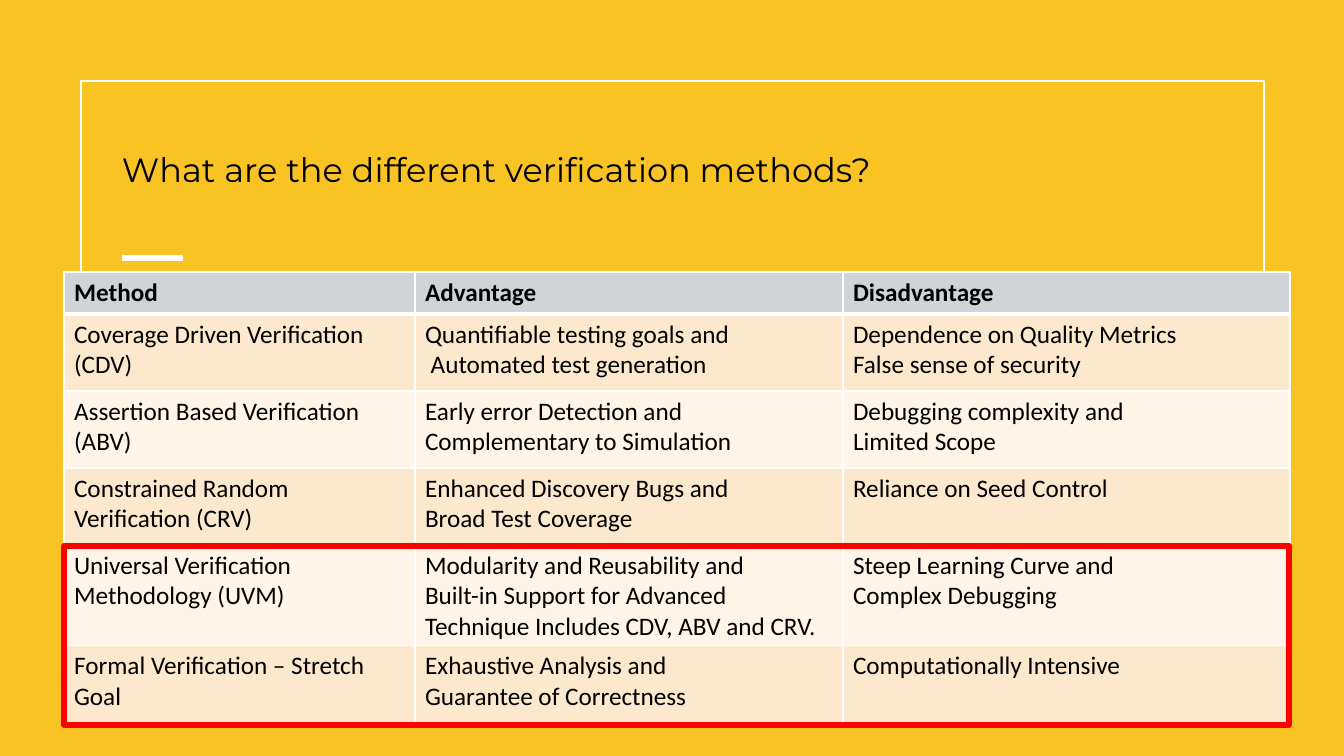
import pptx
import pptx.util
import pptx.dml.color
import pptx.enum.shapes
import pptx.enum.text
import pptx.oxml
import pptx.oxml.ns

PX = 9071.43
WHITE, BLACK, RED, YELLOW = "FFFFFF", "000000", "FF0000", "F9C423"
HEADER_FILL = "D1D4D7"
BAND_FILLS = ["FCE9CD", "FEF5E8"]
COLUMN_WIDTHS = [351, 428, 447]
HEADER_HEIGHT, ROW_HEIGHT = 42, 77
METHODS = [
    ["Method", "Advantage", "Disadvantage"],
    ["Coverage Driven Verification (CDV)",
     "Quantifiable testing goals and\n Automated test generation",
     "Dependence on Quality Metrics\nFalse sense of security"],
    ["Assertion Based Verification (ABV)",
     "Early error Detection and\nComplementary to Simulation",
     "Debugging complexity and\nLimited Scope"],
    ["Constrained Random Verification (CRV)",
     "Enhanced Discovery Bugs and\nBroad Test Coverage",
     "Reliance on Seed Control"],
    ["Universal Verification Methodology (UVM)",
     "Modularity and Reusability and\n"
     "Built-in Support for Advanced Technique Includes CDV, ABV and CRV.",
     "Steep Learning Curve and\nComplex Debugging"],
    ["Formal Verification – Stretch Goal",
     "Exhaustive Analysis and\nGuarantee of Correctness",
     "Computationally Intensive"],
]


def px(n):
    return pptx.util.Emu(round(n * PX))


def rgb(value):
    return pptx.dml.color.RGBColor.from_string(value)


def add_text(tf, text, font, size, bold=False):
    for i, line in enumerate(text.split("\n")):
        p = tf.paragraphs[0] if i == 0 else tf.add_paragraph()
        r = p.add_run()
        r.text = line
        r.font.name = font
        r.font.size = pptx.util.Pt(size)
        r.font.bold = bold
        r.font.color.rgb = rgb(BLACK)


def add_outline(s, x, y, w, h, color, width):
    sp = s.shapes.add_shape(pptx.enum.shapes.MSO_SHAPE.RECTANGLE,
                            px(x), px(y), px(w), px(h))
    sp.shadow.inherit = False
    sp.fill.background()
    sp.line.color.rgb = rgb(color)
    sp.line.width = pptx.util.Pt(width)


def add_rule(s, x1, x2, y, color, width):
    sp = s.shapes.add_connector(pptx.enum.shapes.MSO_CONNECTOR.STRAIGHT,
                                px(x1), px(y), px(x2), px(y))
    sp.line.color.rgb = rgb(color)
    sp.line.width = pptx.util.Pt(width)
    sp._element.spPr.append(pptx.oxml.parse_xml(
        f"<a:effectLst {pptx.oxml.ns.nsdecls('a')}/>"))


def add_title(s, x, y, w, h, text):
    tf = s.shapes.add_textbox(px(x), px(y), px(w), px(h)).text_frame
    tf.word_wrap = True
    tf.vertical_anchor = pptx.enum.text.MSO_ANCHOR.BOTTOM
    tf.margin_left = tf.margin_top = tf.margin_right = tf.margin_bottom = 0
    add_text(tf, text, "Montserrat", 24)


def set_borders(cell, color, bottom):
    tcPr = cell._tc.get_or_add_tcPr()
    for i, (side, width) in enumerate([("L", 1), ("R", 1), ("T", 1), ("B", bottom)]):
        tcPr.insert(i, pptx.oxml.parse_xml(
            f'<a:ln{side} {pptx.oxml.ns.nsdecls("a")} w="{pptx.util.Pt(width)}">'
            f'<a:solidFill><a:srgbClr val="{color}"/></a:solidFill></a:ln{side}>'))


def add_methods_table(s, x, y):
    height = HEADER_HEIGHT + ROW_HEIGHT * (len(METHODS) - 1)
    table = s.shapes.add_table(len(METHODS), len(COLUMN_WIDTHS), px(x), px(y),
                               px(sum(COLUMN_WIDTHS)), px(height)).table
    for column, width in zip(table.columns, COLUMN_WIDTHS):
        column.width = px(width)
    for i, texts in enumerate(METHODS):
        header = i == 0
        table.rows[i].height = px(HEADER_HEIGHT if header else ROW_HEIGHT)
        for j, text in enumerate(texts):
            cell = table.cell(i, j)
            cell.fill.solid()
            cell.fill.fore_color.rgb = rgb(
                HEADER_FILL if header else BAND_FILLS[(i - 1) % 2])
            set_borders(cell, WHITE, 3 if header else 1)
            if i == 1:
                cell._tc.tcPr.find(pptx.oxml.ns.qn("a:lnT")).set(
                    "w", str(pptx.util.Pt(3)))
            add_text(cell.text_frame, text, "Calibri", 18, header)


def main():
    prs = pptx.Presentation()
    prs.slide_width, prs.slide_height = px(1344), px(756)
    s = prs.slides.add_slide(prs.slide_layouts[6])
    s.background.fill.solid()
    s.background.fill.fore_color.rgb = rgb(YELLOW)
    add_outline(s, 81, 81, 1183, 594, WHITE, 1.5)
    add_rule(s, 122, 183, 258, WHITE, 4)
    add_title(s, 122, 81, 1101, 108, "What are the different verification methods?")
    add_methods_table(s, 64, 272)
    add_outline(s, 64, 546, 1225, 179, RED, 4.5)
    prs.save("out.pptx")


if __name__ == "__main__":
    main()
